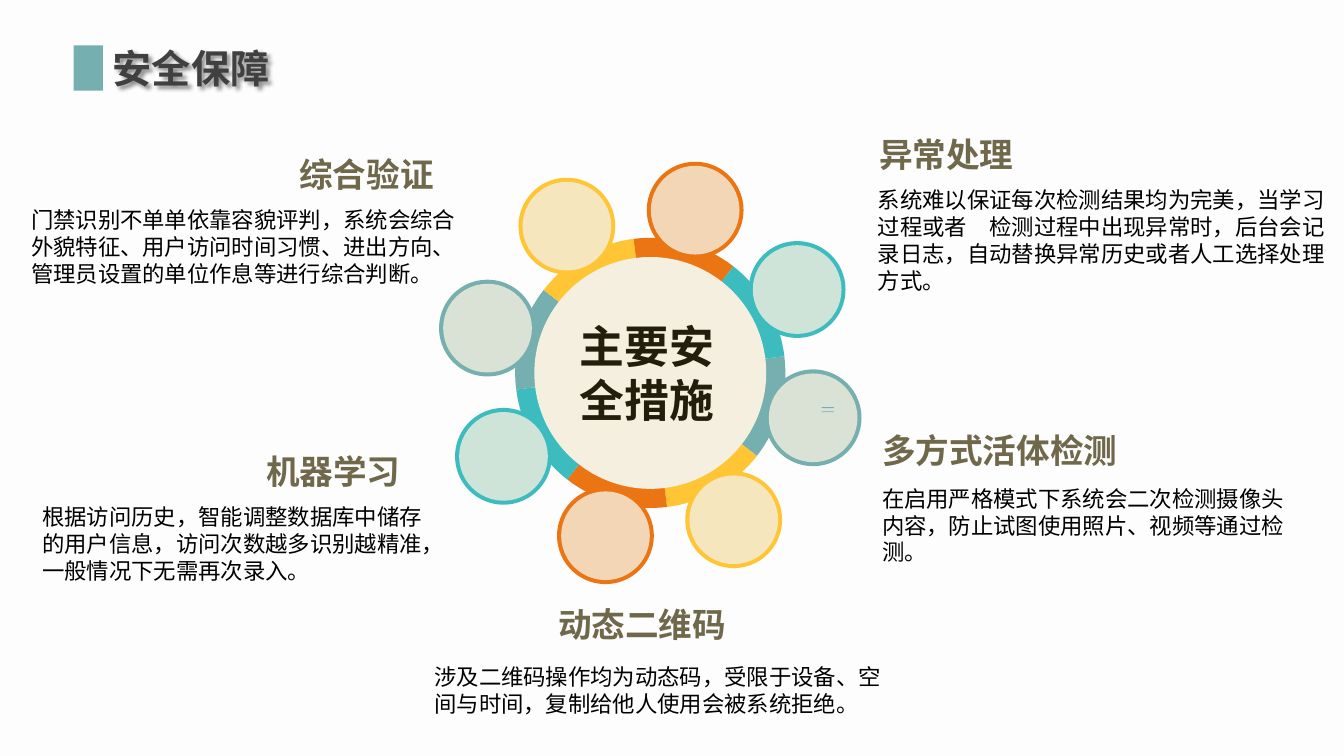
"""Build a slide on access security: a ring of eight discs with five notes around it."""
from math import cos, radians, sin

from lxml import etree
from pptx import Presentation
from pptx import util as u
from pptx.dml.color import RGBColor
from pptx.enum import shapes, text
from pptx.oxml import ns

FONT = "Noto Sans CJK SC"
PAPER = RGBColor(0xFD, 0xFD, 0xFD)
CREAM = RGBColor(0xF4, 0xEF, 0xDF)
SAGE = RGBColor(0x76, 0xAF, 0xAF)
YELLOW = RGBColor(0xFF, 0xC5, 0x35)
ORANGE = RGBColor(0xEB, 0x75, 0x13)
TEAL = RGBColor(0x3D, 0xBC, 0xC0)
BROWN = RGBColor(0x70, 0x68, 0x4A)
DARK = RGBColor(0x23, 0x1D, 0x0C)
GREY = RGBColor(0x40, 0x40, 0x40)
BLACK = RGBColor(0, 0, 0)

LEFT, RIGHT = text.PP_ALIGN.LEFT, text.PP_ALIGN.RIGHT
RECT, OVAL = shapes.MSO_SHAPE.RECTANGLE, shapes.MSO_SHAPE.OVAL

NOTES = [
    ("机器学习", (2.18, 4.42, 1.89, 0.5), RIGHT,
     "根据访问历史，智能调整数据库中储存的用户信息，访问次数越多识别越精准，一般情况下无需再次录入。",
     (0.32, 4.94, 4.11, 0.91)),
    ("综合验证", (2.36, 1.48, 2.04, 0.5), RIGHT,
     "门禁识别不单单依靠容貌评判，系统会综合外貌特征、用户访问时间习惯、进出方向、管理员设置的单位作息等进行综合判断。",
     (0.21, 2, 4.46, 0.91)),
    ("动态二维码", (5.1, 5.94, 2.2, 0.5), RIGHT,
     "涉及二维码操作均为动态码，受限于设备、空间与时间，复制给他人使用会被系统拒绝。",
     (4.21, 6.53, 4.68, 0.64)),
    ("多方式活体检测", (8.65, 4.22, 3.07, 0.5), LEFT,
     "在启用严格模式下系统会二次检测摄像头内容，防止试图使用照片、视频等通过检测。",
     (8.65, 4.76, 4.24, 0.91)),
    ("异常处理", (8.62, 1.28, 1.55, 0.5), LEFT,
     "系统难以保证每次检测结果均为完美，当学习过程或者　检测过程中出现异常时，后台会记录日志，自动替换异常历史或者人工选择处理方式。",
     (8.61, 1.8, 4.73, 1.18)),
]


def paint(shape, color):
    """Give a shape a flat fill without line or shadow."""
    shape.shadow.inherit = False
    shape.fill.solid()
    shape.fill.fore_color.rgb = color
    shape.line.fill.background()
    return shape


def add_block(page, kind, box, color):
    """Draw a plain preset shape in the box."""
    return paint(page.shapes.add_shape(kind, *map(u.Inches, box)), color)


def add_disc(page, center, radius, color):
    """Draw a circle around a center."""
    x, y = center
    return add_block(page, OVAL, (x - radius, y - radius, 2 * radius, 2 * radius), color)


def add_text(page, box, words, size, color, bold=False, align=LEFT, wrap=True):
    """Write one paragraph in a text box and return the box."""
    holder = page.shapes.add_textbox(*map(u.Inches, box))
    frame = holder.text_frame
    frame.word_wrap = wrap
    para = frame.paragraphs[0]
    para.alignment = align
    para.line_spacing = u.Pt(round(size * 1.2, 1))
    span = para.add_run()
    span.text = words
    span.font.name = FONT
    span.font.size = u.Pt(size)
    span.font.bold = bold
    span.font.color.rgb = color
    etree.SubElement(span.font._element, ns.qn("a:ea"), typeface=FONT)
    return holder


def polar(center, radius, angle):
    """Return the point at a clockwise angle in degrees from the center."""
    x, y = center
    return x + radius * cos(radians(angle)), y + radius * sin(radians(angle))


def add_arc(page, center, inner, outer, start, sweep, color):
    """Draw one segment of the ring."""
    angles = [start + sweep * step / 16 for step in range(17)]
    points = [polar(center, outer, angle) for angle in angles]
    points += [polar(center, inner, angle) for angle in reversed(angles)]
    points = [(u.Inches(x), u.Inches(y)) for x, y in points]
    builder = page.shapes.build_freeform(*points[0], scale=1.0)
    builder.add_line_segments(points[1:], close=True)
    paint(builder.convert_to_shape(), color)


def draw_title(page, box):
    """Draw the title with its marker and text shadow."""
    left, top, width, height = box
    add_block(page, RECT, (left, top + 0.06, 0.29, 0.45), SAGE)
    title = add_text(page, (left + 0.29, top, width - 0.29, height), "安全保障", 28, GREY, True, wrap=False)
    effects = etree.SubElement(title._element.spPr, ns.qn("a:effectLst"))
    shadow = etree.SubElement(effects, ns.qn("a:outerShdw"), blurRad="38100",
                              dist="38100", dir="2700000", algn="tl")
    shade = etree.SubElement(shadow, ns.qn("a:srgbClr"), val="000000")
    etree.SubElement(shade, ns.qn("a:alpha"), val="43000")


def draw_wheel(page, box):
    """Draw the ring, its eight discs and the hub inside a square box."""
    left, top, size = box
    center = left + size / 2, top + size / 2
    sweep = 45
    for index, color in enumerate([SAGE, YELLOW, ORANGE, TEAL] * 2):
        start = index * sweep - 7.1
        add_arc(page, center, 1.14, 1.34, start, sweep, color)
        spot = polar(center, 1.675, start + sweep / 2)
        add_disc(page, spot, 0.48, color)
        veil = add_disc(page, spot, 0.44, CREAM)
        tone = veil.fill._xPr.find(ns.qn("a:solidFill"))[0]
        etree.SubElement(tone, ns.qn("a:alpha"), val="80000")
    for drop in (0.34, 0.38):
        add_block(page, RECT, (center[0] + 1.7, center[1] + drop, 0.12, 0.01), SAGE)
    add_disc(page, center, 1.15, CREAM)
    add_text(page, (center[0] - 0.8, center[1] - 0.59, 1.89, 1.18), "主要安全措施", 32, DARK, True)


def draw_note(page, heading, heading_box, align, body, body_box):
    """Write a heading and its explanation."""
    add_text(page, heading_box, heading, 24, BROWN, True, align)
    add_text(page, body_box, body, 16, BLACK)


def main():
    """Build and save the deck."""
    deck = Presentation()
    deck.slide_width, deck.slide_height = u.Inches(13.33), u.Inches(7.5)
    page = deck.slides.add_slide(deck.slide_layouts[6])
    page.background.fill.solid()
    page.background.fill.fore_color.rgb = PAPER
    draw_wheel(page, (4.3, 1.55, 4.3))
    for note in NOTES:
        draw_note(page, *note)
    draw_title(page, (0.73, 0.39, 2.07, 0.57))
    deck.save("out.pptx")


if __name__ == "__main__":
    main()
